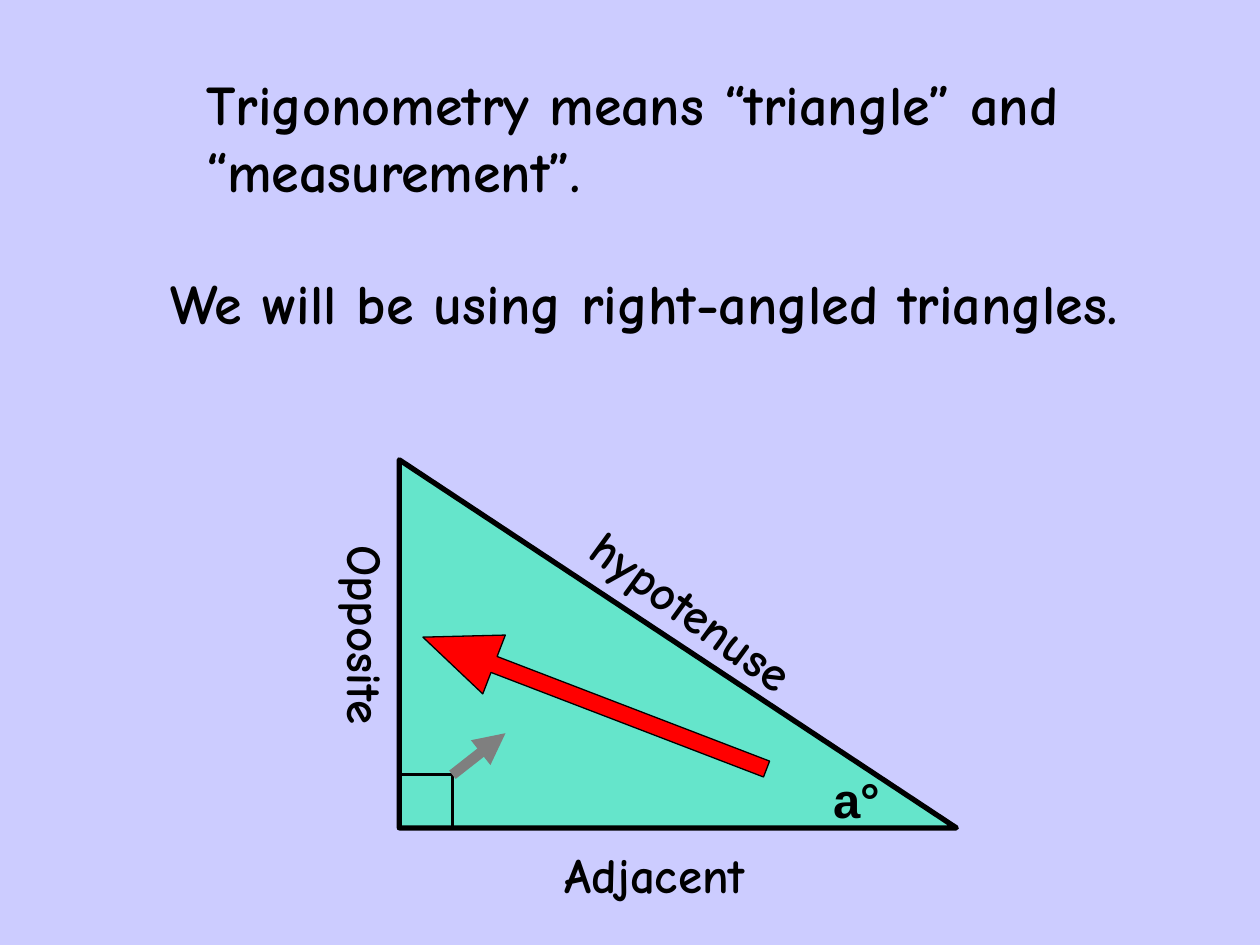
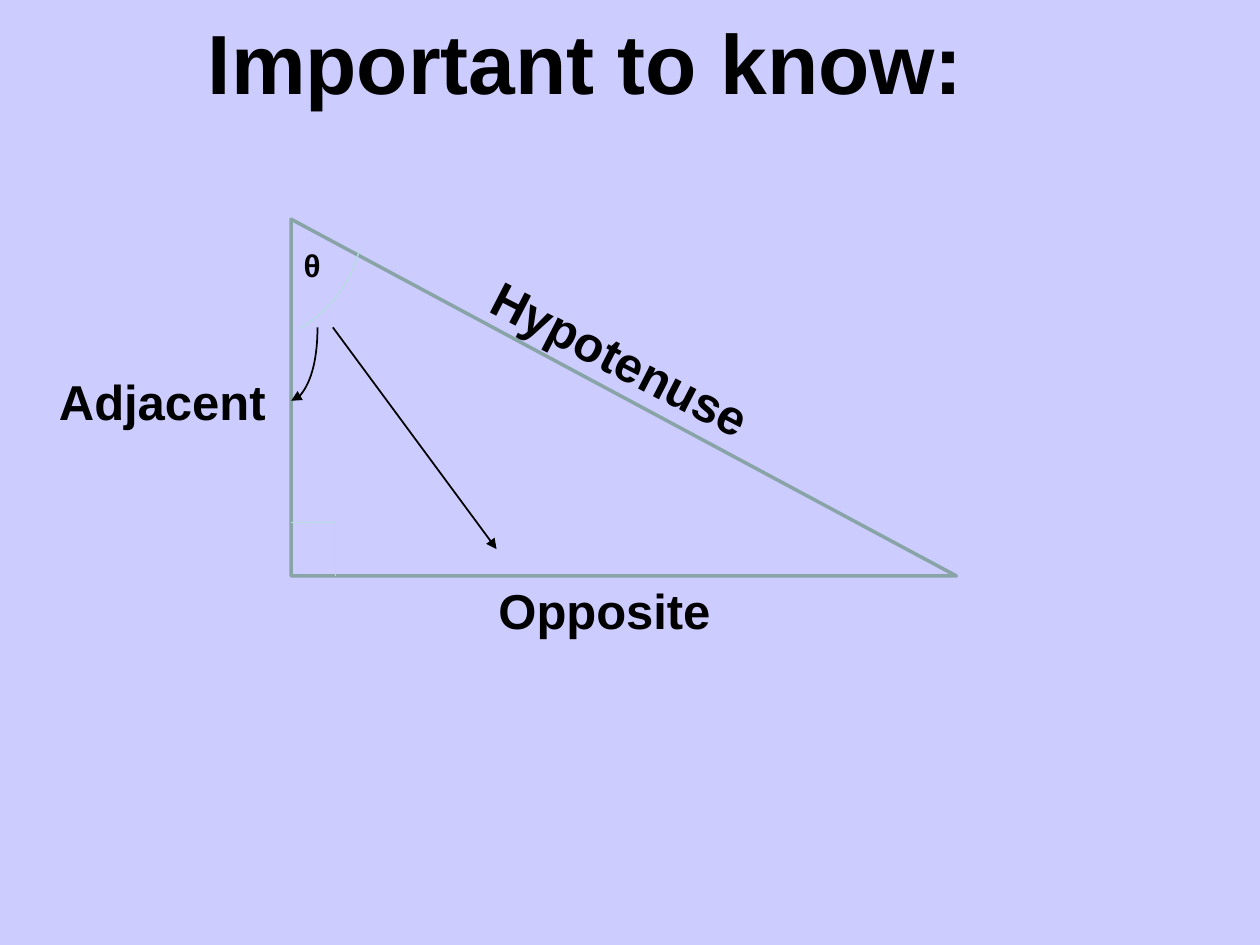
from lxml import etree
from pptx import Presentation
from pptx import util as u
from pptx.dml.color import RGBColor
from pptx.enum import shapes, text
from pptx.oxml.ns import qn

COLOURS = {
    "background": "CCCCFF", "black": "000000", "mint": "00FF99", "red": "FF0000",
    "grey": "7F7F7F", "side": "89A4A7", "mark": "B6DCDF",
}
HAND, PLAIN = "Comic Neue", "Arial"
SHAPE, CONNECTOR = shapes.MSO_SHAPE, shapes.MSO_CONNECTOR

# Boxes are (left, top, width, height) in cm
INTRO_TRIANGLE = (8.05, 9.27, 11.23, 7.42)
RIGHT_ANGLE = 1.07
LABEL = dict(centred=True, middle=True, wrap=False)
INTRO_TEXTS = [
    ("Trigonometry means “triangle” and “measurement”.", (3.91, 1.27, 19.48, 2.97),
     dict(font=HAND, size=32)),
    ("We will be using right-angled triangles.", (3.18, 5.28, 21.59, 1.63),
     dict(font=HAND, size=32)),
    ("Adjacent", (11.13, 16.89, 4.14, 1.45), dict(font=HAND, **LABEL)),
    ("Opposite", (6.55, 10.74, 1.7, 3.89), dict(font=HAND, vertical=True, **LABEL)),
    ("a°", (16.54, 15.39, 1.45, 1.45), LABEL),
    ("hypotenuse", (10.36, 11.58, 7.19, 1.45),
     dict(font=HAND, centred=True, rotation=36.1)),
]

KNOW_TRIANGLE = (5.87, 4.42, 13.41, 7.19)
KNOW_TEXTS = [
    ("Important to know:", (3.94, 0.08, 16, 2.29), dict(size=48)),
    ("θ", (5.87, 4.83, 2.26, 1.02), dict(size=18)),
    ("Hypotenuse", (9.42, 6.6, 6.6, 1.45), dict(rotation=27.2)),
    ("Opposite", (9.8, 11.58, 5.64, 1.45), {}),
    ("Adjacent", (0.94, 7.37, 4.9, 1.45), {}),
]
ARC_CENTRE, ARC_RADIUS, ARC_DEGREES = (4.67, 4.34), 2.67, (13.8, 58.7)


def colour(name):
    return RGBColor.from_string(COLOURS[name])


def cm(values):
    return [u.Cm(v) for v in values]


def add_slide(prs):
    s = prs.slides.add_slide(prs.slide_layouts[6])
    s.background.fill.solid()
    s.background.fill.fore_color.rgb = colour("background")
    return s


def add_text(s, words, box, font=PLAIN, size=28, centred=False, middle=False,
             wrap=True, vertical=False, rotation=0):
    sp = s.shapes.add_textbox(*cm(box))
    sp.rotation = rotation
    tf = sp.text_frame
    tf.word_wrap = wrap
    tf.auto_size = text.MSO_AUTO_SIZE.SHAPE_TO_FIT_TEXT
    tf.vertical_anchor = text.MSO_ANCHOR.MIDDLE if middle else text.MSO_ANCHOR.TOP
    if vertical:
        tf._txBody.bodyPr.set("vert", "eaVert")
        tf.margin_left = tf.margin_right = u.Cm(0.13)
        tf.margin_top = tf.margin_bottom = u.Cm(0.25)
    p = tf.paragraphs[0]
    p.alignment = text.PP_ALIGN.CENTER if centred else text.PP_ALIGN.LEFT
    r = p.add_run()
    r.text = words
    r.font.name, r.font.size, r.font.bold = font, u.Pt(size), True
    r.font.color.rgb = colour("black")


def add_shape(s, kind, box, line, width, fill=None, alpha=None, rotation=0, adjust=()):
    sp = s.shapes.add_shape(kind, *cm(box))
    sp.shadow.inherit = False
    sp.rotation = rotation
    for i, value in enumerate(adjust):
        sp.adjustments[i] = value
    sp.line.color.rgb, sp.line.width = colour(line), u.Pt(width)
    if fill:
        sp.fill.solid()
        sp.fill.fore_color.rgb = colour(fill)
    else:
        sp.fill.background()
    if alpha:
        tint = sp._element.spPr.find(qn("a:solidFill"))[0]
        etree.SubElement(tint, qn("a:alpha"), val=str(alpha * 1000))


def add_line(s, start, end, line, width, arrow=False, kind=CONNECTOR.STRAIGHT):
    c = s.shapes.add_connector(kind, *cm(start + end))
    c.line.color.rgb, c.line.width = colour(line), u.Pt(width)
    props = c._element.spPr
    if arrow:
        etree.SubElement(props.find(qn("a:ln")), qn("a:tailEnd"), type="triangle")
    etree.SubElement(props, qn("a:effectLst"))
    return c


def add_quarter_curve(s, start, end, line, width):
    """Draw an arrow that leaves downwards and arrives from the right."""
    (x1, y1), (x2, y2) = start, end
    across, down = abs(x2 - x1), y2 - y1
    left, top = (x1 + x2 - down) / 2, (y1 + y2 - across) / 2
    c = add_line(s, (left, top), (left + down, top + across), line, width,
                 arrow=True, kind=CONNECTOR.CURVE)
    props = c._element.spPr
    props.find(qn("a:xfrm")).set("rot", str(90 * 60000))
    props.find(qn("a:prstGeom")).set("prst", "curvedConnector2")


def build_intro(prs):
    s = add_slide(prs)
    left, top, _, height = INTRO_TRIANGLE
    corner_top = top + height - RIGHT_ANGLE
    add_shape(s, SHAPE.RIGHT_TRIANGLE, INTRO_TRIANGLE, "black", 3, fill="mint", alpha=50)
    add_shape(s, SHAPE.RECTANGLE, (left, corner_top, RIGHT_ANGLE, RIGHT_ANGLE),
              "black", 1.5)
    add_shape(s, SHAPE.LEFT_ARROW, (8.28, 13.54, 7.42, 1.27), "black", 0.75,
              fill="red", rotation=21, adjust=(0.27, 1.21))
    add_line(s, (left + RIGHT_ANGLE, corner_top), (10.19, 14.78), "grey", 6, arrow=True)
    for words, box, style in INTRO_TEXTS:
        add_text(s, words, box, **style)


def build_know(prs):
    s = add_slide(prs)
    left, top, _, height = KNOW_TRIANGLE
    corner = (6.76, 10.54)
    add_shape(s, SHAPE.RIGHT_TRIANGLE, KNOW_TRIANGLE, "side", 2)
    add_line(s, corner, (left, corner[1]), "mark", 0.75)
    add_line(s, (corner[0], top + height), corner, "mark", 0.75)
    arc_box = [c - ARC_RADIUS for c in ARC_CENTRE] + [2 * ARC_RADIUS] * 2
    # Arc angles are stored in 60000ths of a degree, adjustments in 100000ths
    add_shape(s, SHAPE.ARC, arc_box, "mark", 0.75, adjust=[d * 0.6 for d in ARC_DEGREES])
    add_line(s, (6.71, 6.6), (10.01, 11.07), "black", 1, arrow=True)
    add_quarter_curve(s, (6.4, 6.6), (left, 8.08), "black", 1)
    for words, box, style in KNOW_TEXTS:
        add_text(s, words, box, **style)


def main():
    prs = Presentation()
    prs.slide_width, prs.slide_height = cm((25.4, 19.05))
    build_intro(prs)
    build_know(prs)
    prs.save("out.pptx")


if __name__ == "__main__":
    main()
